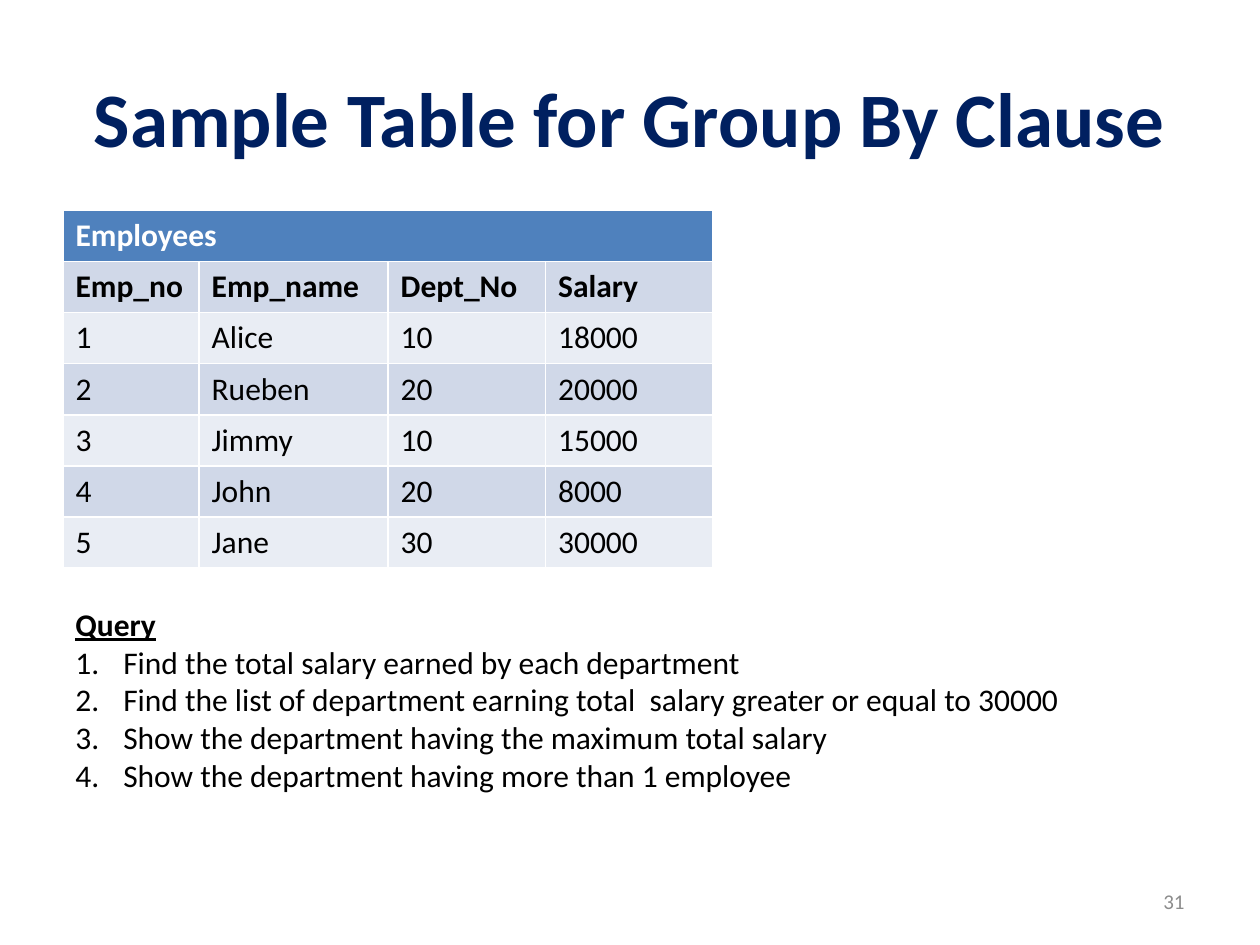
from dataclasses import dataclass

from lxml.etree import SubElement
from pptx import Presentation
from pptx.dml.color import RGBColor as RGB
from pptx.enum.text import MSO_ANCHOR as Anchor, PP_ALIGN as Align
from pptx.oxml.ns import qn
from pptx.util import Inches, Pt


@dataclass(frozen=True)
class Theme:
    font: str = "Calibri"
    navy: str = "002060"
    blue: str = "4F81BD"
    dark: str = "D0D8E8"
    light: str = "E9EDF4"
    white: str = "FFFFFF"
    black: str = "000000"
    gray: str = "8C8C8C"
    title: int = 44
    body: int = 18
    small: int = 12


THEME = Theme()
WIDTHS = (1.08, 1.5, 1.25, 1.33)
ROWS = (
    ("Emp_no", "Emp_name", "Dept_No", "Salary"),
    ("1", "Alice", "10", "18000"),
    ("2", "Rueben", "20", "20000"),
    ("3", "Jimmy", "10", "15000"),
    ("4", "John", "20", "8000"),
    ("5", "Jane", "30", "30000"),
)
TASKS = (
    "Find the total salary earned by each department",
    "Find the list of department earning total  salary greater or equal to 30000",
    "Show the department having the maximum total salary",
    "Show the department having more than 1 employee",
)


def add_run(para, text, size, color, bold=False, under=False):
    run = para.add_run()
    run.text = text
    font = run.font
    font.name, font.size = THEME.font, Pt(size)
    font.bold, font.underline = bold, under
    font.color.rgb = RGB.from_string(color)


def place(shape, box):
    shape.left, shape.top, shape.width, shape.height = map(Inches, box)


def add_title(slide, box, text):
    shape = slide.shapes.title
    place(shape, box)
    frame = shape.text_frame
    frame.vertical_anchor = Anchor.MIDDLE
    para = frame.paragraphs[0]
    para.alignment = Align.CENTER
    add_run(para, text, THEME.title, THEME.navy, bold=True)


def fill_cell(cell, text, back, color, bold):
    cell.fill.solid()
    cell.fill.fore_color.rgb = RGB.from_string(back)
    add_run(cell.text_frame.paragraphs[0], text, THEME.body, color, bold)


def add_grid(slide, box, name, rows):
    # The default table style draws the white cell borders
    count = len(rows) + 1
    table = slide.shapes.add_table(count, len(WIDTHS), *map(Inches, box)).table
    for col, width in zip(table.columns, WIDTHS):
        col.width = Inches(width)
    for row in table.rows:
        row.height = Inches(box[3] / count)

    # Banner across all columns
    head = table.cell(0, 0)
    head.merge(table.cell(0, len(WIDTHS) - 1))
    fill_cell(head, name, THEME.blue, THEME.white, True)

    # Column names, then banded records
    for r, row in enumerate(rows):
        back = THEME.light if r % 2 else THEME.dark
        for c, text in enumerate(row):
            fill_cell(table.cell(r + 1, c), text, back, THEME.black, r == 0)


def add_tasks(slide, box, head, tasks):
    frame = slide.shapes.add_textbox(*map(Inches, box)).text_frame
    frame.word_wrap = False
    add_run(frame.paragraphs[0], head, THEME.body, THEME.black, True, True)
    for task in tasks:
        para = frame.add_paragraph()
        add_run(para, task, THEME.body, THEME.black)
        # Automatic numbers on a hanging indent
        props = para._p.get_or_add_pPr()
        props.set("marL", str(Inches(0.38)))
        props.set("indent", str(-Inches(0.38)))
        SubElement(props, qn("a:buFont"), typeface="+mj-lt")
        SubElement(props, qn("a:buAutoNum"), type="arabicPeriod")


def add_number(slide, box, text):
    frame = slide.shapes.add_textbox(*map(Inches, box)).text_frame
    frame.word_wrap = True
    frame.vertical_anchor = Anchor.MIDDLE
    para = frame.paragraphs[0]
    para.alignment = Align.RIGHT
    add_run(para, text, THEME.small, THEME.gray)


def main():
    deck = Presentation()
    deck.slide_width, deck.slide_height = Inches(10), Inches(7.5)
    slide = deck.slides.add_slide(deck.slide_layouts[5])
    add_title(slide, (0.5, 0.3, 9, 1.25), "Sample Table for Group By Clause")
    add_grid(slide, (0.5, 1.67, sum(WIDTHS), 2.8), "Employees", ROWS)
    add_number(slide, (7.17, 6.95, 2.33, 0.4), "31")
    add_tasks(slide, (0.5, 4.75, 8.22, 1.62), "Query", TASKS)
    deck.save("out.pptx")


if __name__ == "__main__":
    main()
